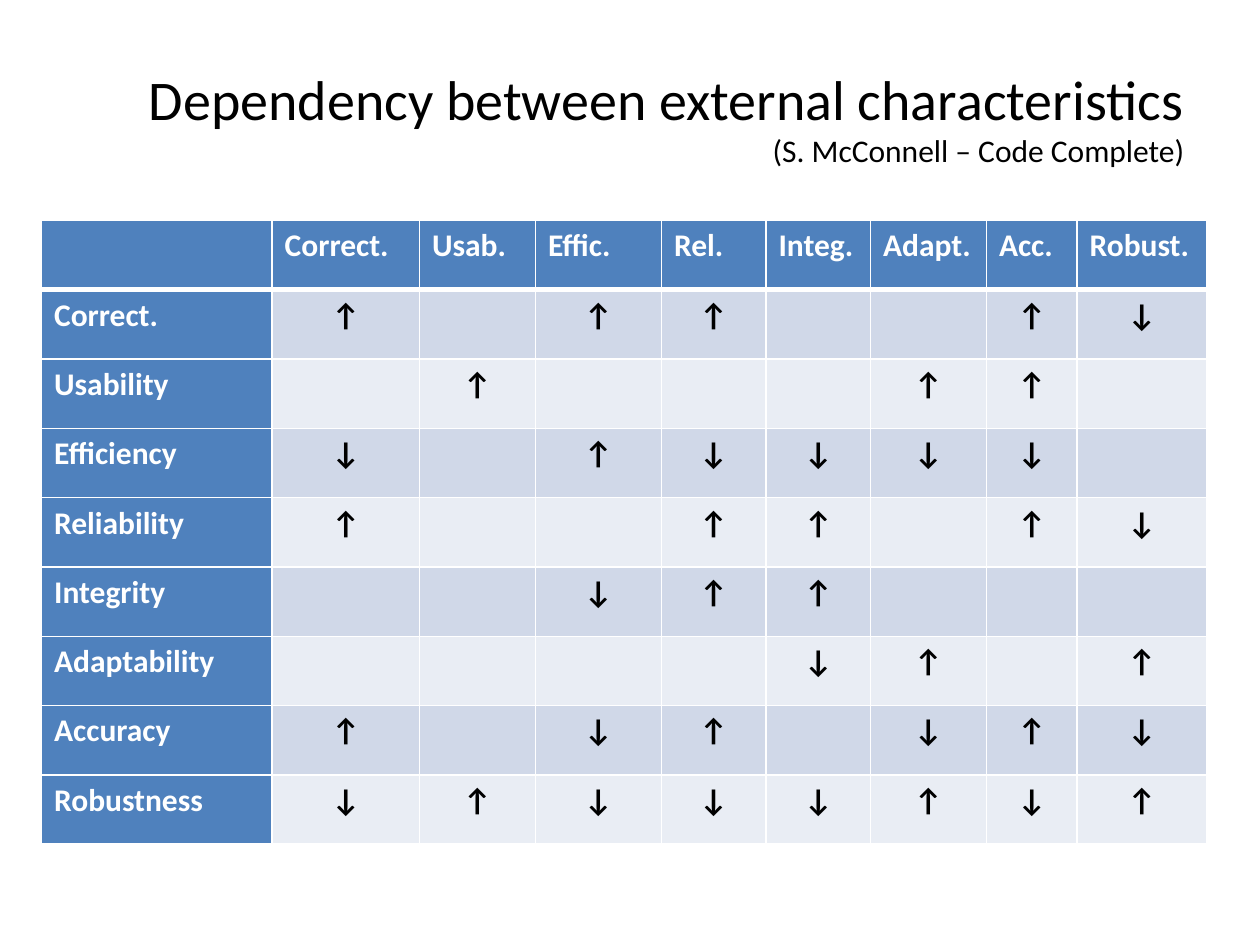
from lxml.etree import SubElement
from pptx import Presentation
from pptx.dml.color import RGBColor as RGB
from pptx.enum.text import MSO_ANCHOR as Anchor, PP_ALIGN as Align
from pptx.oxml.ns import qn
from pptx.util import Inches, Pt

FONT = "Calibri"
BLACK = RGB(0x00, 0x00, 0x00)
WHITE = RGB(0xFF, 0xFF, 0xFF)
BLUE = RGB(0x4F, 0x81, 0xBD)
BANDS = (RGB(0xE9, 0xED, 0xF4), RGB(0xD0, 0xD8, 0xE8))

COLUMN_WIDTHS = (1.83, 1.17, 0.92, 1, 0.83, 0.83, 0.92, 0.72, 1.03)
ROW_HEIGHT = 0.55
HEADERS = ("", "Correct.", "Usab.", "Effic.", "Rel.", "Integ.", "Adapt.", "Acc.", "Robust.")
EFFECTS = (
    ("Correct.", "↑-↑↑--↑↓"),
    ("Usability", "-↑---↑↑-"),
    ("Efficiency", "↓-↑↓↓↓↓-"),
    ("Reliability", "↑--↑↑-↑↓"),
    ("Integrity", "--↓↑↑---"),
    ("Adaptability", "----↓↑-↑"),
    ("Accuracy", "↑-↓↑-↓↑↓"),
    ("Robustness", "↓↑↓↓↓↑↓↑"),
)


def add_run(p, text, size, color, bold=False):
    r = p.add_run()
    r.text = text
    r.font.name = FONT
    r.font.size = Pt(size)
    r.font.bold = bold
    r.font.color.rgb = color


def add_title(slide):
    sp = slide.shapes.add_textbox(Inches(0.5), Inches(0.3), Inches(9), Inches(1.25))
    tf = sp.text_frame
    tf.word_wrap = True
    tf.vertical_anchor = Anchor.MIDDLE
    p = tf.paragraphs[0]
    p.alignment = Align.RIGHT
    add_run(p, "Dependency between external characteristics", 32, BLACK)
    p.add_line_break()
    add_run(p, "(S. McConnell – Code Complete)", 18, BLACK)


def set_borders(cell, top, bottom):
    tc_pr = cell._tc.get_or_add_tcPr()
    for side, width in (("L", 1), ("R", 1), ("T", top), ("B", bottom)):
        ln = SubElement(tc_pr, qn(f"a:ln{side}"), w=str(Pt(width)))
        fill = SubElement(ln, qn("a:solidFill"))
        SubElement(fill, qn("a:srgbClr"), val=str(WHITE))


def fill_cell(cell, text, row, col):
    is_label = row == 0 or col == 0
    set_borders(cell, 3 if row == 1 else 1, 3 if row == 0 else 1)
    cell.fill.solid()
    cell.fill.fore_color.rgb = BLUE if is_label else BANDS[row % 2]
    p = cell.text_frame.paragraphs[0]
    p.font.size = Pt(18)
    p.alignment = Align.LEFT if is_label else Align.CENTER
    if text:
        add_run(p, text, 18, WHITE if is_label else BLACK, True)


def add_effects_table(slide):
    rows = [HEADERS] + [(name, *arrows.replace("-", " ")) for name, arrows in EFFECTS]
    table = slide.shapes.add_table(
        len(rows), len(HEADERS), Inches(0.33), Inches(1.75),
        Inches(sum(COLUMN_WIDTHS)), Inches(ROW_HEIGHT * len(rows)),
    ).table
    for column, width in zip(table.columns, COLUMN_WIDTHS):
        column.width = Inches(width)
    for i, texts in enumerate(rows):
        table.rows[i].height = Inches(ROW_HEIGHT)
        for j, text in enumerate(texts):
            fill_cell(table.cell(i, j), text.strip(), i, j)


def main():
    prs = Presentation()
    prs.slide_width = Inches(10)
    prs.slide_height = Inches(7.5)
    slide = prs.slides.add_slide(prs.slide_layouts[6])
    add_title(slide)
    add_effects_table(slide)
    prs.save("out.pptx")


if __name__ == "__main__":
    main()
